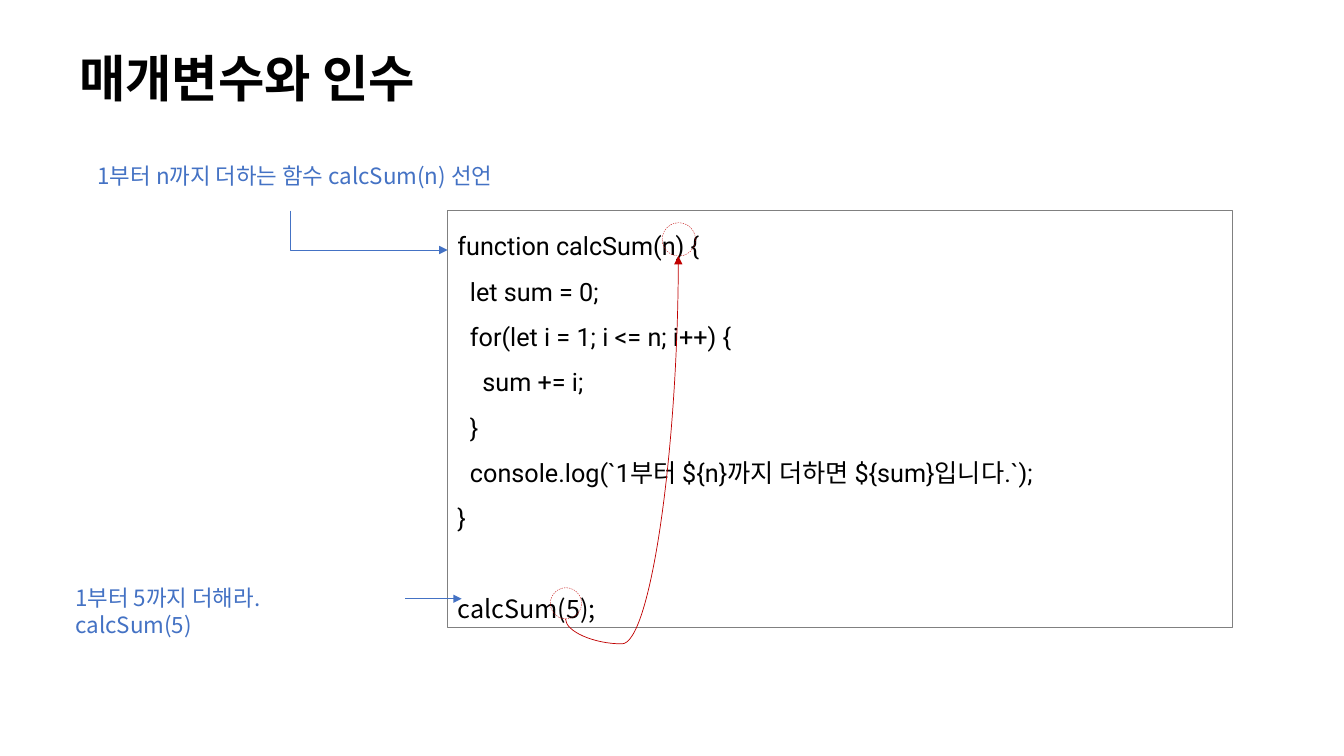
from dataclasses import dataclass

import pptx
import pptx.dml.color
import pptx.enum.dml
import pptx.enum.shapes
import pptx.enum.text
import pptx.oxml
import pptx.oxml.ns
import pptx.util

Pt = pptx.util.Pt
qn = pptx.oxml.ns.qn
CONNECTOR = pptx.enum.shapes.MSO_CONNECTOR
ANCHOR = pptx.enum.text.MSO_ANCHOR
KOREAN_FONT = "Noto Sans CJK KR"
CODE_FONT = "Roboto"
COLORS = {"text": "000000", "note": "4472C4", "frame": "808080", "flow": "C00000"}
CODE = """function calcSum(n) {
  let sum = 0;
  for(let i = 1; i <= n; i++) {
    sum += i;
  }
  console.log(`1부터 ${n}까지 더하면 ${sum}입니다.`);
}
calcSum(5);"""


@dataclass
class TextBlock:
    text: str
    box: tuple[float, float, float, float]
    size: float
    color: str = "text"
    font: str = KOREAN_FONT
    bold: bool = False
    spacing: float = 1.0
    anchor: ANCHOR = ANCHOR.TOP


@dataclass
class Arrow:
    kind: CONNECTOR
    start: tuple[float, float]
    end: tuple[float, float]
    color: str
    bend: int | None = None
    rotation: int = 0


TITLE = TextBlock("매개변수와 인수", (49.5, 25.2, 701.3, 66.2), 36,
                  bold=True, spacing=0.9, anchor=ANCHOR.MIDDLE)
LISTING = TextBlock(CODE, (319.7, 150.3, 561, 298), 18, font=CODE_FONT, spacing=1.5)
NOTES = [
    TextBlock("1부터 n까지 더하는 함수 calcSum(n) 선언", (62.6, 112.3, 318, 26.6), 16, "note"),
    TextBlock("1부터 5까지 더해라. calcSum(5)", (46.8, 414, 230.4, 26.6), 16, "note"),
]
# Left, top and diameter of the rings around the argument and the parameter
RINGS = [(393.1, 419.8, 22.3), (473, 159.1, 23.8)]
ARROWS = [
    # The curve is laid out flat, then turned a quarter about its centre
    Arrow(CONNECTOR.CURVE, (573.8, 352.8), (314.6, 272.2), "flow", bend=-6900, rotation=90),
    Arrow(CONNECTOR.ELBOW, (207.4, 150.5), (319.7, 178.6), "note", bend=0),
    Arrow(CONNECTOR.STRAIGHT, (289.4, 427.7), (329.8, 427.7), "note"),
]


def rgb(name: str) -> pptx.dml.color.RGBColor:
    return pptx.dml.color.RGBColor.from_string(COLORS[name])


def style_line(line, color: str, width: float) -> None:
    line.color.rgb = rgb(color)
    line.width = Pt(width)


def style_run(r, block: TextBlock, font: str) -> None:
    r.font.name = font
    r.font.size = Pt(block.size)
    r.font.bold = block.bold
    r.font.color.rgb = rgb(block.color)
    ea = pptx.oxml.parse_xml(f'<a:ea {pptx.oxml.ns.nsdecls("a")} typeface="{KOREAN_FONT}"/>')
    r.font._element.find(qn("a:latin")).addnext(ea)


def add_text(s, block: TextBlock):
    sp = s.shapes.add_textbox(*map(Pt, block.box))
    tf = sp.text_frame
    tf.word_wrap = True
    tf.vertical_anchor = block.anchor
    tf.text = block.text
    for p in tf.paragraphs:
        p.line_spacing = block.spacing
        for r in p.runs:
            style_run(r, block, block.font)
    return sp


def add_listing(s) -> None:
    """Draw the framed code, with the call set apart from the function."""
    sp = add_text(s, LISTING)
    style_line(sp.line, "frame", 0.75)
    call = sp.text_frame.paragraphs[-1]
    call.space_before = Pt(32.5)
    call.runs[0].font.name = KOREAN_FONT


def add_ring(s, left: float, top: float, diameter: float) -> None:
    sp = s.shapes.add_shape(pptx.enum.shapes.MSO_SHAPE.OVAL,
                            Pt(left), Pt(top), Pt(diameter), Pt(diameter))
    sp.shadow.inherit = False
    sp.fill.background()
    style_line(sp.line, "flow", 0.25)
    sp.line.dash_style = pptx.enum.dml.MSO_LINE.DASH


def add_arrow(s, arrow: Arrow) -> None:
    c = s.shapes.add_connector(arrow.kind, *map(Pt, arrow.start + arrow.end))
    style_line(c.line, arrow.color, 0.5)
    ns = pptx.oxml.ns.nsdecls("a")
    c.line._get_or_add_ln().append(pptx.oxml.parse_xml(f'<a:tailEnd {ns} type="triangle"/>'))
    properties = c._element.spPr
    properties.append(pptx.oxml.parse_xml(f"<a:effectLst {ns}/>"))
    if arrow.rotation:
        properties.find(qn("a:xfrm")).set("rot", str(arrow.rotation * 60000))
    if arrow.bend is not None:
        guide = f'<a:gd {ns} name="adj1" fmla="val {arrow.bend}"/>'
        properties.find(qn("a:prstGeom")).find(qn("a:avLst")).append(pptx.oxml.parse_xml(guide))


def main() -> None:
    prs = pptx.Presentation()
    prs.slide_width, prs.slide_height = Pt(960), Pt(540)
    s = prs.slides.add_slide(prs.slide_layouts[6])
    add_text(s, TITLE)
    add_listing(s)
    for note in NOTES:
        add_text(s, note)
    for ring in RINGS:
        add_ring(s, *ring)
    for arrow in ARROWS:
        add_arrow(s, arrow)
    prs.save("out.pptx")


if __name__ == "__main__":
    main()
